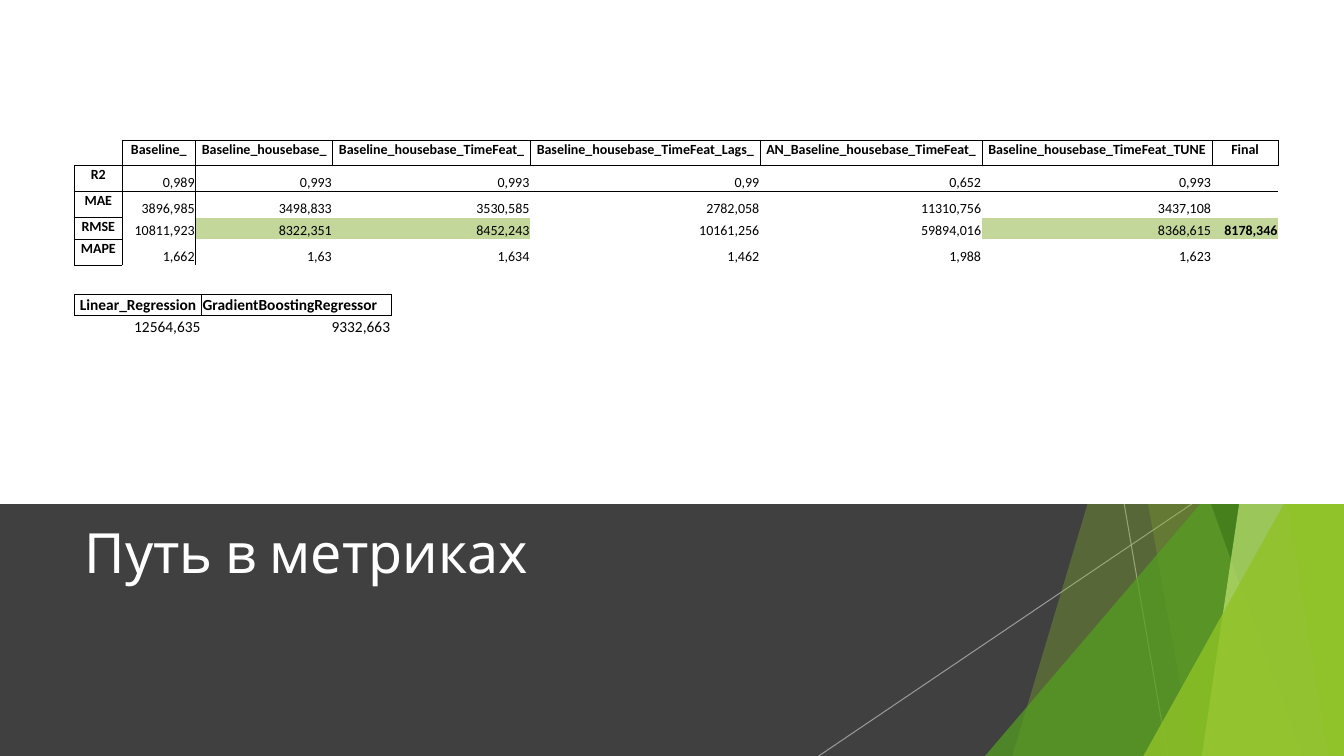
"""Build the slide that compares model metrics in two tables."""
import pptx
import pptx.dml.color
import pptx.enum.shapes
import pptx.enum.text
import pptx.oxml.ns
import pptx.util
from lxml import etree

Inches = pptx.util.Inches
Pt = pptx.util.Pt
qn = pptx.oxml.ns.qn
SHAPE = pptx.enum.shapes.MSO_SHAPE
ALIGN = pptx.enum.text.PP_ALIGN
ANCHOR = pptx.enum.text.MSO_ANCHOR
NO_STYLE = "{2D5ABB26-0587-4C30-8999-92F81FD0307C}"


def paint(color_format, color, opacity=100):
    """Set a hex colour and, where needed, its opacity in percent."""
    color_format.rgb = pptx.dml.color.RGBColor.from_string(color)
    if opacity < 100:
        srgb = color_format._xFill.find(qn("a:srgbClr"))
        etree.SubElement(srgb, qn("a:alpha"), val=str(opacity * 1000))


def add_metrics(page, left, top, widths, heights, rows, size, label_column, marked):
    """Add a table with boxed headings and right-aligned values."""
    frame = page.shapes.add_table(len(rows), len(widths), Inches(left), Inches(top),
                                  Inches(sum(widths)), Inches(sum(heights)))
    table = frame.table
    table.first_row = table.horz_banding = False
    table._tbl.tblPr.find(qn("a:tableStyleId")).text = NO_STYLE
    for column, width in zip(table.columns, widths):
        column.width = Inches(width)
    for row, height in zip(table.rows, heights):
        row.height = Inches(height)
    for r, values in enumerate(rows):
        for c, value in enumerate(values):
            cell = table.cell(r, c)
            heading = r == 0 or (label_column and c == 0)
            cell.margin_left = cell.margin_right = cell.margin_top = Inches(0.01)
            cell.margin_bottom = 0
            cell.vertical_anchor = ANCHOR.TOP if heading else ANCHOR.BOTTOM
            if (r, c) in marked:
                cell.fill.solid()
                paint(cell.fill.fore_color, "C4D79B")
            else:
                cell.fill.background()
            para = cell.text_frame.paragraphs[0]
            para.alignment = ALIGN.CENTER if heading else ALIGN.RIGHT
            if value == "GradientBoostingRegressor":
                para.alignment = ALIGN.LEFT
            if value:
                span = para.add_run()
                span.text = value
                span.font.size = Pt(size)
                span.font.name = "Calibri"
                span.font.bold = heading or value == "8178,346"
                paint(span.font.color, "000000")
            else:
                etree.SubElement(para._p, qn("a:endParaRPr"), sz=str(size * 100))
            if heading:
                edges = "LRTB" if value else "RB"
            else:
                edges = ("L" if label_column and c == 1 else "") + ("T" if r == 1 else "")
            properties = cell._tc.get_or_add_tcPr()
            for position, edge in enumerate(edges):
                line = etree.Element(qn("a:ln" + edge), w=str(Pt(0.5)))
                fill = etree.SubElement(line, qn("a:solidFill"))
                etree.SubElement(fill, qn("a:srgbClr"), val="000000")
                properties.insert(position, line)


deck = pptx.Presentation()
deck.slide_width, deck.slide_height = Inches(13.33), Inches(7.5)
page = deck.slides.add_slide(deck.slide_layouts[5])
shapes = page.shapes

dark_band = shapes.add_shape(SHAPE.RECTANGLE, 0, Inches(5), Inches(13.33), Inches(2.5))
facets = [(dark_band, "404040", 100)]

for start_x, end_x in [(11.15, 11.58), (11.82, 8.12)]:
    ray = shapes.add_connector(pptx.enum.shapes.MSO_CONNECTOR.STRAIGHT,
                               Inches(start_x), Inches(5), Inches(end_x), Inches(7.5))
    ray.line.width = Pt(0.75)
    ray.line.fill.solid()
    paint(ray.line.fill.fore_color, "BFBFBF", 70)
    etree.SubElement(ray._element.spPr, qn("a:effectLst"))

for kind, upper_x, lower_x, color, opacity in [
        ("blade", 12.28, 10.04, "90C226", 30),
        ("blade", 10.5, 11.83, "90C226", 20),
        ("triangle", 3.33, 9.77, "54A021", 72),
        ("blade", 10.21, 12.91, "3F7819", 70),
        ("blade", 13.03, 11.92, "C0E474", 70),
        ("blade", 11.96, 13.18, "90C226", 65),
        ("triangle", 3.93, 11.34, "90C226", 80)]:
    if kind == "blade":
        outline = shapes.build_freeform(Inches(upper_x), Inches(-0.01))
        outline.add_line_segments([(Inches(x), Inches(y)) for x, y in
                                   [(13.33, -0.01), (13.33, 7.5), (lower_x, 7.5)]])
        facet = outline.convert_to_shape()
    else:
        facet = shapes.add_shape(SHAPE.ISOSCELES_TRIANGLE, Inches(lower_x), Inches(upper_x),
                                 Inches(13.33 - lower_x), Inches(7.5 - upper_x))
        facet.adjustments[0] = 1
    facets.append((facet, color, opacity))

white_area = shapes.add_shape(SHAPE.RECTANGLE, 0, 0, Inches(13.33), Inches(5))
facets.append((white_area, "FFFFFF", 100))
for facet, color, opacity in facets:
    facet.shadow.inherit = False
    facet.line.fill.background()
    facet.fill.solid()
    paint(facet.fill.fore_color, color, opacity)

title = shapes.title
title.left, title.top, title.width, title.height = map(Inches, (0.74, 5.21, 9.4, 1.28))
shapes.element.append(title.element)
box = title.text_frame
box.word_wrap = True
box.auto_size = pptx.enum.text.MSO_AUTO_SIZE.NONE
box.vertical_anchor = ANCHOR.TOP
box.margin_top = 0
para = box.paragraphs[0]
para.alignment = ALIGN.LEFT
para.line_spacing = 0.9
span = para.add_run()
span.text = "Путь в метриках"
span.font.size = Pt(39.6)
span.font.name = "Cabin"
paint(span.font.color, "FFFFFF")

model_rows = [
    ["", "Baseline_", "Baseline_housebase_", "Baseline_housebase_TimeFeat_",
     "Baseline_housebase_TimeFeat_Lags_", "AN_Baseline_housebase_TimeFeat_",
     "Baseline_housebase_TimeFeat_TUNE", "Final"],
    ["R2", "0,989", "0,993", "0,993", "0,99", "0,652", "0,993", ""],
    ["MAE", "3896,985", "3498,833", "3530,585", "2782,058", "11310,756", "3437,108", ""],
    ["RMSE", "10811,923", "8322,351", "8452,243", "10161,256", "59894,016", "8368,615",
     "8178,346"],
    ["MAPE", "1,662", "1,63", "1,634", "1,462", "1,988", "1,623", ""]]
add_metrics(page, 0.74, 1.39, [0.47, 0.73, 1.36, 1.96, 2.28, 2.2, 2.28, 0.66],
            [0.25, 0.26, 0.26, 0.21, 0.26], model_rows, 10, True,
            [(3, 2), (3, 3), (3, 6), (3, 7)])

regressor_rows = [["Linear_Regression", "GradientBoostingRegressor"],
                  ["12564,635", "9332,663"]]
add_metrics(page, 0.74, 2.92, [1.26, 1.88], [0.21, 0.21], regressor_rows, 11, False, [])

deck.save("out.pptx")
